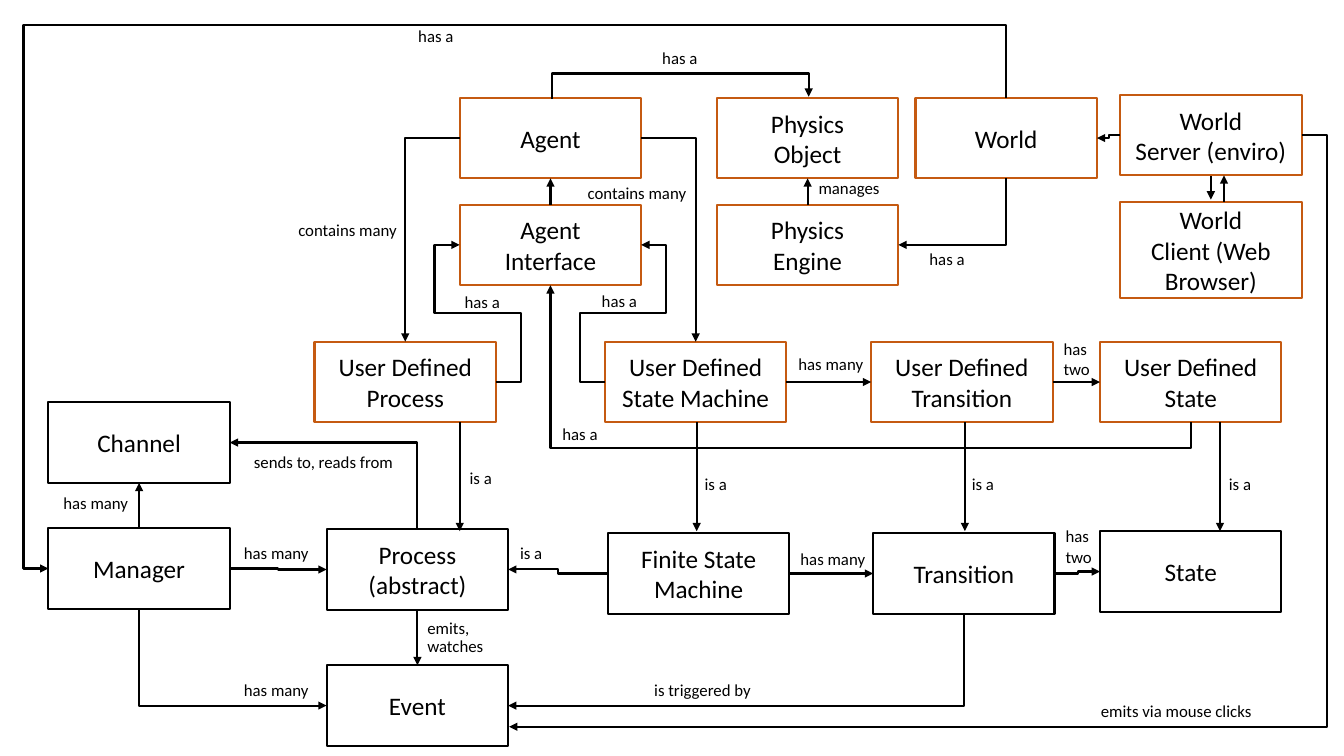
from lxml.etree import SubElement
from pptx import Presentation
from pptx.dml.color import RGBColor
from pptx.enum.shapes import MSO_CONNECTOR, MSO_SHAPE
from pptx.enum.text import MSO_ANCHOR, PP_ALIGN
from pptx.oxml.ns import qn
from pptx.util import Inches, Pt

BLACK, WHITE, ORANGE = "000000", "FFFFFF", "C55A11"
FONT = "Calibri"
BOX_WIDTH, BOX_HEIGHT, CLIENT_HEIGHT = 1.8, 0.8, 0.96
TOP, LEFT, BOTTOM, RIGHT = range(4)  # connection sites of a rectangle

# Boxes: name -> (text, left, top); one group per outline colour
CORE_BOXES = {
    "manager": ("Manager", 0.48, 5.24),
    "process": ("Process\n(abstract)", 3.24, 5.25),
    "event": ("Event", 3.24, 6.6),
    "channel": ("Channel", 0.48, 3.99),
    "state": ("State", 10.91, 5.27),
    "transition": ("Transition", 8.66, 5.29),
    "machine": ("Finite State\nMachine", 6.03, 5.29),
}
WORLD_BOXES = {
    "agent": ("Agent", 4.56, 0.97),
    "interface": ("Agent\nInterface", 4.56, 2.03),
    "user process": ("User Defined\nProcess", 3.12, 3.39),
    "user machine": ("User Defined\nState Machine", 6.0, 3.39),
    "user transition": ("User Defined\nTransition", 8.64, 3.39),
    "user state": ("User Defined\nState", 10.91, 3.39),
    "world": ("World", 9.08, 0.97),
    "server": ("World\nServer (enviro)", 11.11, 0.94),
    "client": ("World\nClient (Web Browser)", 11.11, 2.0),
    "physics engine": ("Physics\nEngine", 7.11, 2.03),
    "physics object": ("Physics\nObject", 7.11, 0.97),
}

# Arrows between boxes: from, side, to, side
STRAIGHT_LINKS = [
    ("manager", TOP, "channel", BOTTOM),
    ("process", BOTTOM, "event", TOP),
    ("machine", RIGHT, "transition", LEFT),
    ("user machine", RIGHT, "user transition", LEFT),
    ("user transition", RIGHT, "user state", LEFT),
    ("interface", TOP, "agent", BOTTOM),
    ("physics engine", TOP, "physics object", BOTTOM),
]
# The same plus the coordinates of the bends, by turns along and across
BENT_LINKS = [
    ("manager", RIGHT, "process", LEFT, [2.76]),
    ("manager", BOTTOM, "event", LEFT, []),
    ("process", TOP, "channel", RIGHT, []),
    ("machine", LEFT, "process", RIGHT, [5.53]),
    ("transition", RIGHT, "state", LEFT, [10.69]),
    ("transition", BOTTOM, "event", RIGHT, []),
    ("agent", LEFT, "user process", TOP, []),
    ("agent", RIGHT, "user machine", TOP, []),
    ("user process", RIGHT, "interface", LEFT, [5.17, 3.11, 4.31]),
    ("user machine", LEFT, "interface", RIGHT, [5.75, 3.11, 6.61]),
    ("user state", BOTTOM, "interface", BOTTOM, [4.44]),
    ("world", BOTTOM, "physics engine", RIGHT, []),
    ("world", TOP, "manager", LEFT, [0.25, 0.23]),
    ("server", LEFT, "world", RIGHT, [11.0]),
]
# Free vertical arrows: x, start y, end y
VERTICAL_ARROWS = [(x, 4.19, 5.27) for x in (4.56, 6.91, 9.57, 12.1)]
VERTICAL_ARROWS += [(12.14, 2.0, 1.74), (12.01, 1.75, 1.98)]
# Free bent arrows: start, end, starts vertically, bends
FREE_BENT_ARROWS = [
    ((5.47, 0.98), (8.02, 0.96), True, [0.73]),
    ((12.91, 1.34), (5.05, 7.21), False, [13.16]),
]

# Labels: text, width, places
LABELS = [
    ("has many", 0.85, [(0.53, 4.84), (2.32, 6.69), (2.32, 5.34),
                        (7.84, 5.39), (7.82, 3.46)]),
    ("has\ntwo", 0.47, [(10.47, 5.17), (10.45, 3.31)]),
    ("is a", 0.43, [(5.06, 5.34), (6.89, 4.65), (4.56, 4.59),
                    (9.54, 4.65), (12.09, 4.65)]),
    ("has a", 0.56, [(5.48, 4.15), (4.51, 2.85), (5.87, 2.84),
                     (9.12, 2.42), (6.47, 0.42), (4.05, 0.21)]),
    ("contains many", 1.19, [(2.86, 2.13), (5.73, 1.76)]),
    ("is triggered by", 1.17, [(6.39, 6.69)]),
    ("sends to, reads from", 1.6, [(2.42, 4.43)]),
    ("emits,", 0.62, [(4.14, 6.08)]),
    ("watches", 0.76, [(4.14, 6.26)]),
    ("manages", 0.81, [(8.02, 1.71)]),
    ("emits via mouse clicks", 1.72, [(10.82, 6.9)]),
]


def color(value):
    return RGBColor.from_string(value)


def write(frame, text, size, alignment):
    frame.text = text
    for paragraph in frame.paragraphs:
        paragraph.alignment = alignment
        paragraph.font.name = FONT
        paragraph.font.size = Pt(size)
        paragraph.font.color.rgb = color(BLACK)


def add_box(name, text, left, top, outline):
    height = CLIENT_HEIGHT if name == "client" else BOX_HEIGHT
    shape = slide.shapes.add_shape(MSO_SHAPE.RECTANGLE, Inches(left), Inches(top),
                                   Inches(BOX_WIDTH), Inches(height))
    shape.shadow.inherit = False
    shape.fill.solid()
    shape.fill.fore_color.rgb = color(WHITE)
    shape.line.color.rgb = color(outline)
    shape.line.width = Pt(1.5)
    shape.text_frame.word_wrap = not name.startswith("user")
    shape.text_frame.vertical_anchor = MSO_ANCHOR.MIDDLE
    write(shape.text_frame, text, 18, PP_ALIGN.CENTER)
    return shape


def add_arrow(kind, start, end):
    connector = slide.shapes.add_connector(kind, *map(Inches, start + end))
    connector.line.color.rgb = color(BLACK)
    connector.line.width = Pt(1.5)
    SubElement(connector.line._get_or_add_ln(), qn("a:tailEnd"), type="triangle")
    SubElement(connector._element.spPr, qn("a:effectLst"))
    return connector


def bend(connector, start, end, vertical, bends):
    """Shape an elbow so that it leaves start along one axis and turns at the bends."""
    run, rise = end[0] - start[0], end[1] - start[1]
    along, across = (rise, -run) if vertical else (run, rise)
    width, height = abs(along), abs(across)
    connector.left = Inches((start[0] + end[0] - width) / 2)
    connector.top = Inches((start[1] + end[1] - height) / 2)
    connector.width, connector.height = Inches(width), Inches(height)
    frame = connector._element.spPr.find(qn("a:xfrm"))
    frame.set("rot", str(90 * 60000 if vertical else 0))
    frame.set("flipH", str(int(along < 0)))
    frame.set("flipV", str(int(across < 0)))
    geometry = connector._element.spPr.find(qn("a:prstGeom"))
    geometry.set("prst", f"bentConnector{len(bends) + 2}")
    guides = geometry.find(qn("a:avLst"))
    for number, position in enumerate(bends):
        axis = (number + vertical) % 2
        share = (position - start[axis]) / (end[axis] - start[axis] or 1)
        SubElement(guides, qn("a:gd"), name=f"adj{number + 1}",
                   fmla=f"val {round(share * 100000)}")


def site(name, side):
    shape = boxes[name]
    across, down = [(0.5, 0), (0, 0.5), (0.5, 1), (1, 0.5)][side]
    return (round((shape.left + across * shape.width) / Inches(1), 2),
            round((shape.top + down * shape.height) / Inches(1), 2))


def link(kind, source, source_side, target, target_side):
    start, end = site(source, source_side), site(target, target_side)
    connector = add_arrow(kind, start, end)
    connector.begin_connect(boxes[source], source_side)
    connector.end_connect(boxes[target], target_side)
    return connector, start, end


presentation = Presentation()
presentation.slide_width, presentation.slide_height = Inches(13.33), Inches(7.5)
slide = presentation.slides.add_slide(presentation.slide_layouts[6])

# Boxes
boxes = {}
for group, outline in ((CORE_BOXES, BLACK), (WORLD_BOXES, ORANGE)):
    for name, (text, left, top) in group.items():
        boxes[name] = add_box(name, text, left, top, outline)

# Arrows
for ends in STRAIGHT_LINKS:
    link(MSO_CONNECTOR.STRAIGHT, *ends)
for *ends, bends in BENT_LINKS:
    connector, start, end = link(MSO_CONNECTOR.ELBOW, *ends)
    bend(connector, start, end, ends[1] in (TOP, BOTTOM), bends)
for x, start_y, end_y in VERTICAL_ARROWS:
    add_arrow(MSO_CONNECTOR.STRAIGHT, (x, start_y), (x, end_y))
for start, end, vertical, bends in FREE_BENT_ARROWS:
    bend(add_arrow(MSO_CONNECTOR.ELBOW, start, end), start, end, vertical, bends)

# Labels
for text, width, places in LABELS:
    for left, top in places:
        height = 0.5 if "\n" in text else 0.3
        label = slide.shapes.add_textbox(Inches(left), Inches(top),
                                         Inches(width), Inches(height))
        label.text_frame.word_wrap = False
        write(label.text_frame, text, 12, PP_ALIGN.LEFT)

presentation.save("out.pptx")
